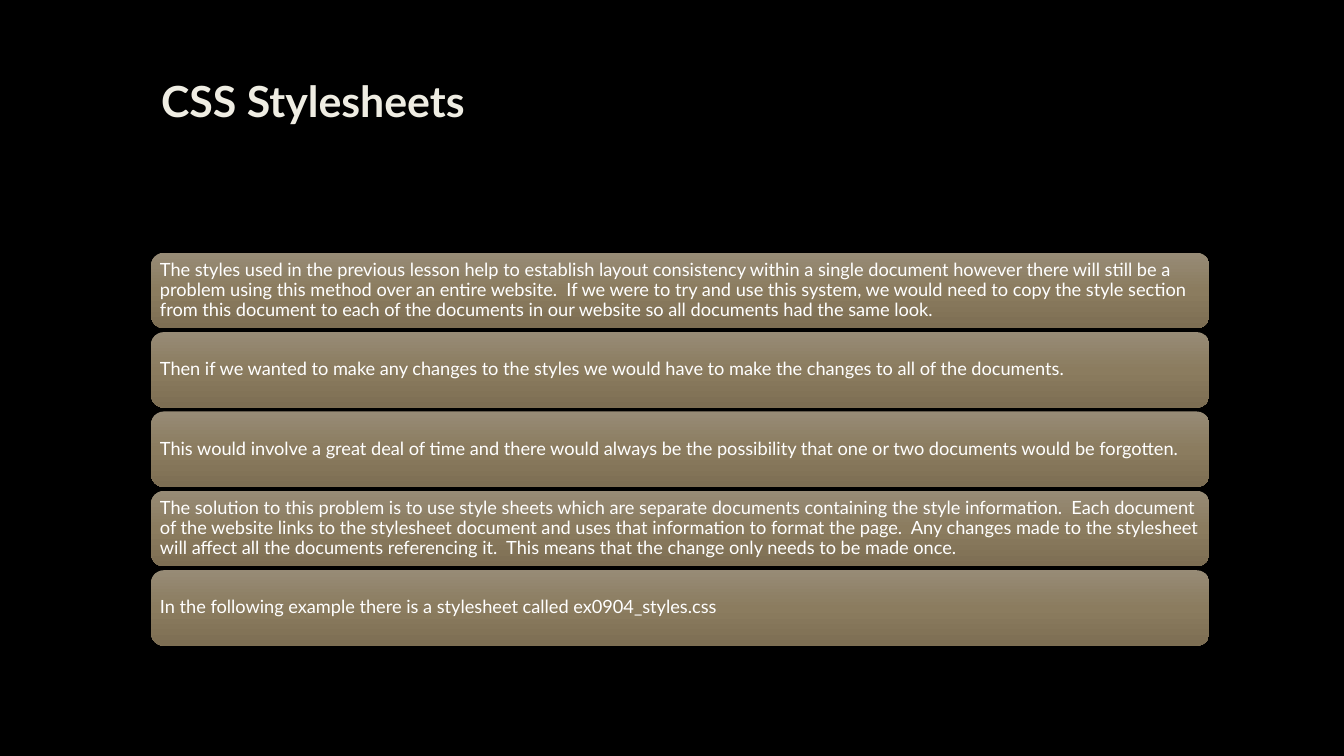
"""Build the CSS Stylesheets slide: a title above five rounded text bars."""
import copy

import pptx
import pptx.dml.color
import pptx.enum.shapes
import pptx.enum.text
import pptx.util
from pptx.util import Cm


def rgb(value):
    return pptx.dml.color.RGBColor.from_string(value)


def style_text(tf, anchor, inset, size, color, spacing):
    tf.word_wrap = True
    tf.auto_size = pptx.enum.text.MSO_AUTO_SIZE.NONE
    tf.vertical_anchor = anchor
    tf.margin_left = tf.margin_right = Cm(inset)
    tf.margin_top = tf.margin_bottom = Cm(0.13)
    p = tf.paragraphs[0]
    p.alignment = pptx.enum.text.PP_ALIGN.LEFT
    p.line_spacing = spacing
    p.font.name = "Lato"
    p.font.size = pptx.util.Pt(size)
    p.font.color.rgb = rgb(color)


POINTS = [
    "The styles used in the previous lesson help to establish layout consistency within a single "
    "document however there will still be a problem using this method over an entire website.  "
    "If we were to try and use this system, we would need to copy the style section from this "
    "document to each of the documents in our website so all documents had the same look.",
    "Then if we wanted to make any changes to the styles we would have to make the changes to all "
    "of the documents.",
    "This would involve a great deal of time and there would always be the possibility that one "
    "or two documents would be forgotten.",
    "The solution to this problem is to use style sheets which are separate documents containing "
    "the style information.  Each document of the website links to the stylesheet document and "
    "uses that information to format the page.  Any changes made to the stylesheet will affect "
    "all the documents referencing it.  This means that the change only needs to be made once.",
    "In the following example there is a stylesheet called ex0904_styles.css",
]
GRADIENT = [(0, "978B76"), (0.5, "8B7C5F"), (1, "7D6E53")]
LEFT, WIDTH = Cm(3.81), Cm(26.67)

prs = pptx.Presentation()
prs.slide_width, prs.slide_height = Cm(33.87), Cm(19.05)
s = prs.slides.add_slide(prs.slide_layouts[5])
s.background.fill.solid()
s.background.fill.fore_color.rgb = rgb("000000")

title = s.shapes.title
title.left, title.top, title.width, title.height = LEFT, Cm(1.9), WIDTH, Cm(1.7)
title.text_frame.text = "CSS Stylesheets"
style_text(title.text_frame, pptx.enum.text.MSO_ANCHOR.TOP, 0.25, 30.6, "EFEDE3", 0.89)
title.text_frame.paragraphs[0].font.bold = True

for i, point in enumerate(POINTS):
    sp = s.shapes.add_shape(pptx.enum.shapes.MSO_SHAPE.ROUNDED_RECTANGLE,
                            LEFT, Cm(6.37 + 2 * i), WIDTH, Cm(1.9))
    sp.shadow.inherit = False
    sp.line.fill.background()
    sp.fill.gradient()
    sp.fill.gradient_angle = 270
    stops = sp.fill._fill._gradFill.gsLst
    stops.insert(1, copy.deepcopy(stops[0]))
    for stop, (position, color) in zip(sp.fill.gradient_stops, GRADIENT):
        stop.position = position
        stop.color.rgb = rgb(color)
    sp.text_frame.text = point
    style_text(sp.text_frame, pptx.enum.text.MSO_ANCHOR.MIDDLE, 0.13, 13, "FFFFFF", 0.9)

prs.save("out.pptx")
